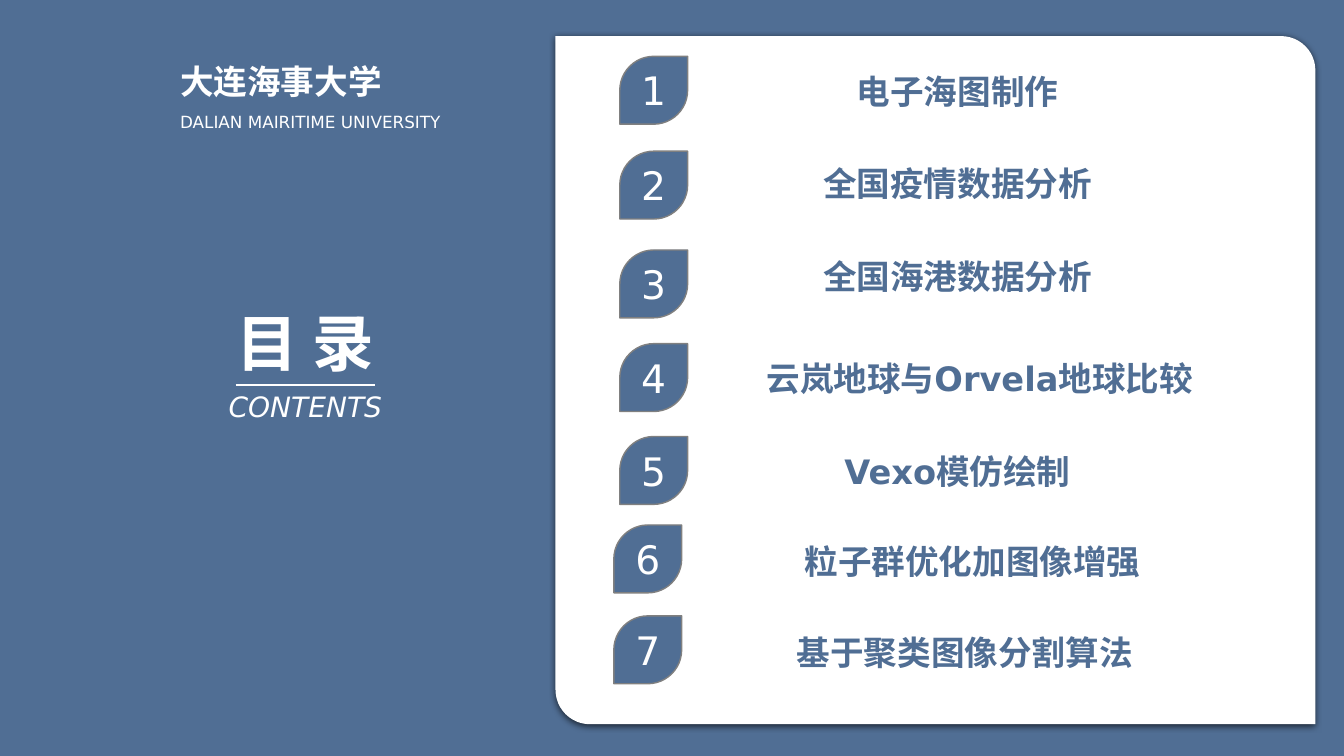
from lxml import etree
from pptx import Presentation
from pptx.dml.color import RGBColor
from pptx.enum.shapes import MSO_CONNECTOR, MSO_SHAPE
from pptx.enum.text import MSO_ANCHOR, MSO_AUTO_SIZE, PP_ALIGN
from pptx.oxml import parse_xml
from pptx.oxml.ns import nsdecls, qn
from pptx.util import Cm, Pt

BLUE = RGBColor(0x50, 0x6E, 0x94)
WHITE = RGBColor(0xFF, 0xFF, 0xFF)
GRAY = RGBColor(0x80, 0x80, 0x80)
FONT = "DejaVu Sans"
LEAF = MSO_SHAPE.ROUND_2_DIAG_RECTANGLE
STRAIGHT = MSO_CONNECTOR.STRAIGHT
MIDDLE = MSO_ANCHOR.MIDDLE
GROW = MSO_AUTO_SIZE.SHAPE_TO_FIT_TEXT
LEFT, CENTER = PP_ALIGN.LEFT, PP_ALIGN.CENTER

BADGE_SIZE = 1.71
TOPIC_WIDTH, TOPIC_HEIGHT = 14.38, 1.27
# topic, badge left and top, topic left and top, all in cm from the panel corner
TOPICS = [
    ("电子海图制作", 1.62, 0.51, 2.94, 0.74),
    ("全国疫情数据分析", 1.62, 2.9, 2.94, 3.08),
    ("全国海港数据分析", 1.62, 5.39, 2.94, 5.41),
    ("云岚地球与Orvela地球比较", 1.62, 7.75, 3.5, 7.98),
    ("Vexo模仿绘制", 1.62, 10.09, 2.94, 10.32),
    ("粒子群优化加图像增强", 1.47, 12.32, 3.32, 12.6),
    ("基于聚类图像分割算法", 1.47, 14.61, 3.12, 14.89),
]
SHADOW = (
    f'<a:effectLst {nsdecls("a")}>'
    '<a:outerShdw blurRad="57150" dist="19050" dir="5400000" algn="ctr" rotWithShape="0">'
    '<a:srgbClr val="000000"><a:alpha val="63000"/></a:srgbClr>'
    '</a:outerShdw></a:effectLst>'
)


def write(shape, text, size, color, align, bold=False, italic=False):
    paragraph = shape.text_frame.paragraphs[0]
    paragraph.text = text
    paragraph.alignment = align
    font = paragraph.runs[0].font
    font.name, font.size = FONT, Pt(size)
    font.bold, font.italic = bold, italic
    font.color.rgb = color


def add_label(slide, box, text, size, color, align=CENTER, **style):
    label = slide.shapes.add_textbox(*map(Cm, box))
    label.text_frame.word_wrap = True
    label.text_frame.auto_size = GROW
    write(label, text, size, color, align, **style)


def add_leaf(slide, box, fill, first_corner, second_corner):
    """Add a rectangle with each diagonal pair of corners rounded on its own."""
    leaf = slide.shapes.add_shape(LEAF, *map(Cm, box))
    leaf.adjustments[0], leaf.adjustments[1] = first_corner, second_corner
    leaf.fill.solid()
    leaf.fill.fore_color.rgb = fill
    leaf.shadow.inherit = False
    return leaf


def add_badge(slide, box, number):
    badge = add_leaf(slide, box, BLUE, 0.5, 0)
    badge.line.color.rgb = GRAY
    badge.line.width = Pt(1)
    badge.text_frame.vertical_anchor = MIDDLE
    write(badge, str(number), 28, WHITE, CENTER)


def add_university(slide, box):
    left, top, width, _ = box
    add_label(slide, (left, top, width, 1.27), "大连海事大学", 24, WHITE, LEFT, bold=True)
    add_label(slide, (left, top + 1.27, width, 0.76),
              "DALIAN MAIRITIME UNIVERSITY", 12, WHITE, LEFT)


def add_heading(slide, box):
    left, top, width, _ = box
    middle = top + 2.13
    add_label(slide, (left, top, width, 2.13), "目 录", 44, WHITE, bold=True)
    add_label(slide, (left, middle, width, 1.12), "CONTENTS", 20, WHITE, italic=True)
    rule = slide.shapes.add_connector(
        STRAIGHT, Cm(left + 1.57), Cm(middle), Cm(left + 5.08), Cm(middle))
    rule.line.color.rgb = WHITE
    rule.line.width = Pt(1.5)
    etree.SubElement(rule._element.spPr, qn("a:effectLst"))


def add_topics(slide, box):
    left, top, _, _ = box
    panel = add_leaf(slide, box, WHITE, 0, 0.05)
    panel.line.fill.background()
    properties = panel._element.spPr
    properties.replace(properties.find(qn("a:effectLst")), parse_xml(SHADOW))
    for number, (topic, badge_x, badge_y, topic_x, topic_y) in enumerate(TOPICS, 1):
        add_badge(slide, (left + badge_x, top + badge_y, BADGE_SIZE, BADGE_SIZE), number)
        add_label(slide, (left + topic_x, top + topic_y, TOPIC_WIDTH, TOPIC_HEIGHT),
                  topic, 24, BLUE, bold=True)


def main():
    deck = Presentation()
    deck.slide_width, deck.slide_height = Cm(33.87), Cm(19.05)
    slide = deck.slides.add_slide(deck.slide_layouts[6])
    slide.background.fill.solid()
    slide.background.fill.fore_color.rgb = BLUE
    add_topics(slide, (14, 0.91, 19.15, 17.34))
    add_heading(slide, (4.37, 7.57, 6.65, 3.25))
    add_university(slide, (4.29, 1.42, 14.38, 2.03))
    deck.save("out.pptx")


if __name__ == "__main__":
    main()
